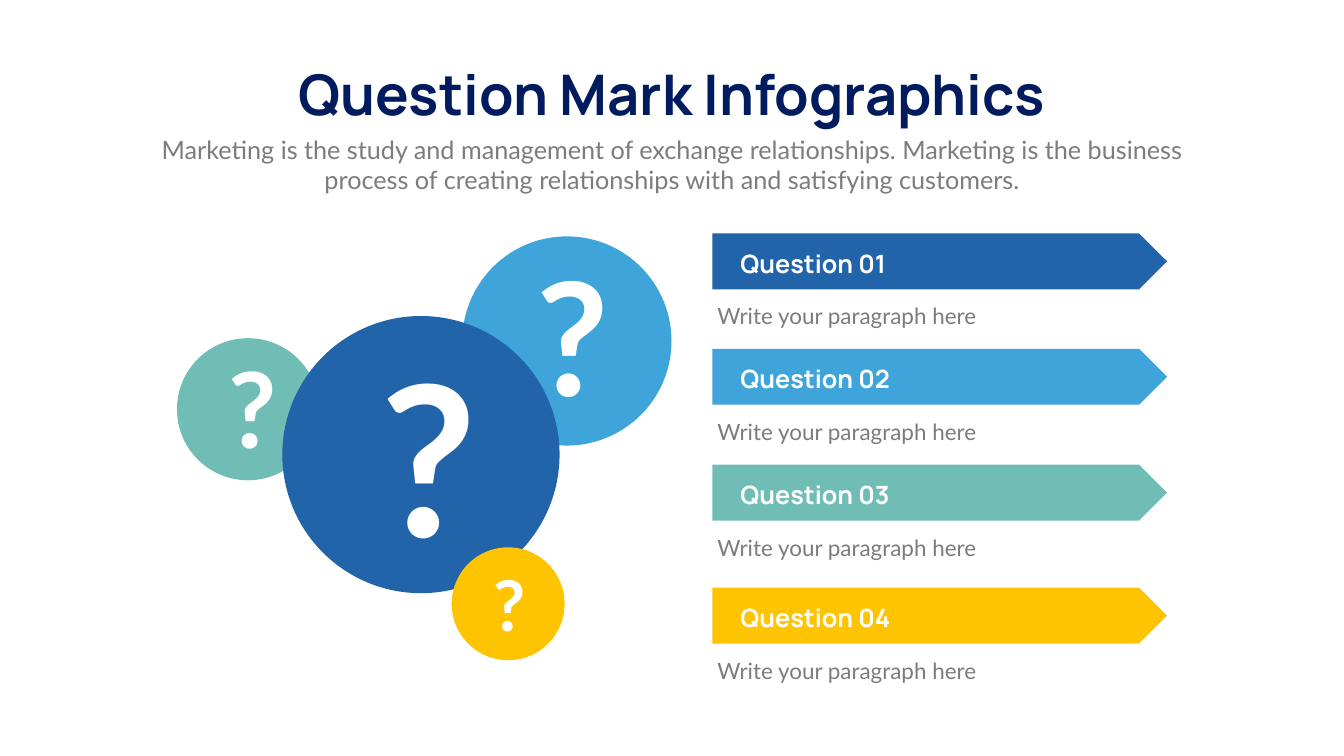
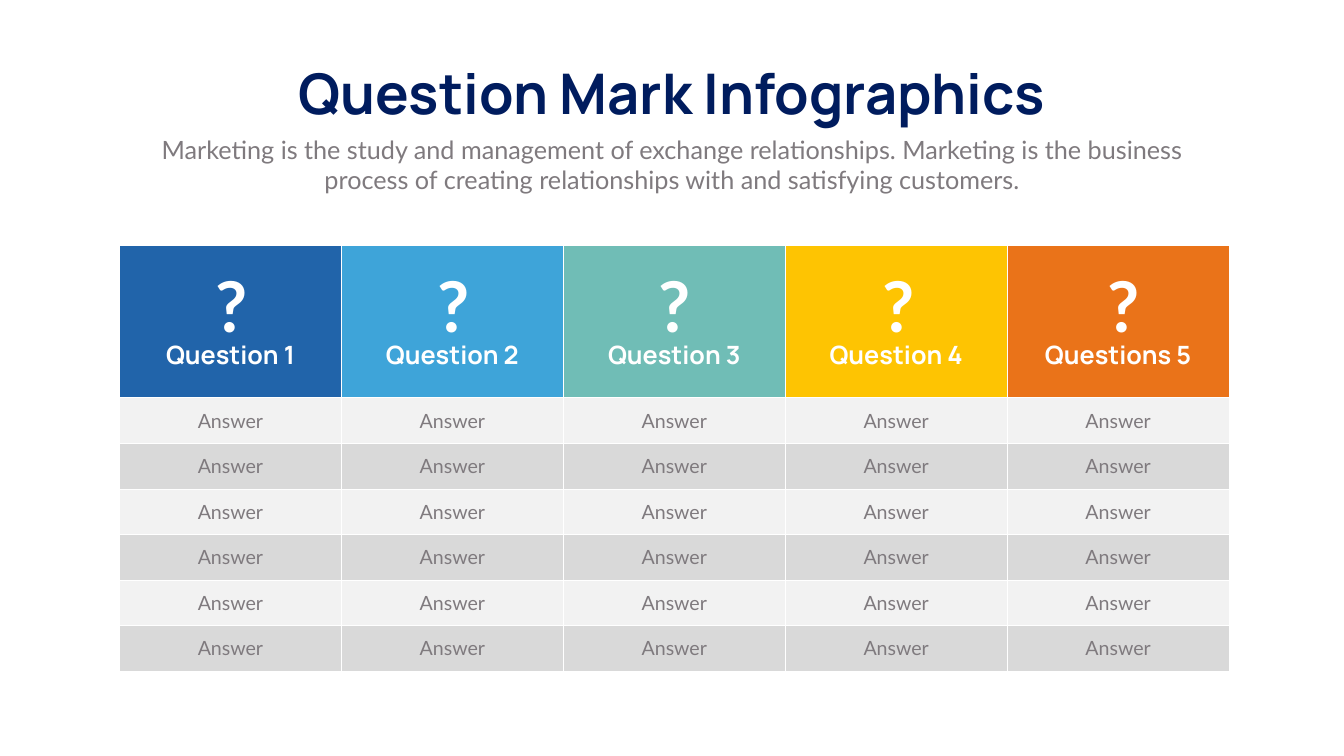
from lxml import etree
from pptx import Presentation
from pptx.dml.color import RGBColor
from pptx.enum.shapes import MSO_SHAPE
from pptx.enum.text import MSO_ANCHOR, MSO_AUTO_SIZE, PP_ALIGN
from pptx.oxml.ns import qn
from pptx.util import Pt

OVAL, ARROW = MSO_SHAPE.OVAL, MSO_SHAPE.PENTAGON
TOP, MIDDLE, BOTTOM = MSO_ANCHOR.TOP, MSO_ANCHOR.MIDDLE, MSO_ANCHOR.BOTTOM
LEFT, CENTER = PP_ALIGN.LEFT, PP_ALIGN.CENTER
FIXED = MSO_AUTO_SIZE.NONE

NAVY = RGBColor(0x00, 0x1C, 0x5E)
GREY = RGBColor(0x7F, 0x7A, 0x7E)
WHITE = RGBColor(0xFF, 0xFF, 0xFF)
BLUE = RGBColor(0x21, 0x64, 0xAA)
SKY = RGBColor(0x3E, 0xA4, 0xD9)
TEAL = RGBColor(0x70, 0xBD, 0xB6)
GOLD = RGBColor(0xFE, 0xC4, 0x02)
RUST = RGBColor(0xEA, 0x73, 0x19)
PALE = RGBColor(0xF2, 0xF2, 0xF2)
ASH = RGBColor(0xD9, 0xD9, 0xD9)
HEAD, BODY = "Manrope", "Lato"

TITLE = "Question Mark Infographics"
INTRO = (
    "Marketing is the study and management of exchange relationships. "
    "Marketing is the business process of creating relationships with "
    "and satisfying customers."
)


def write(frame, text, size=36, font=BODY, color=GREY, bold=False, align=LEFT):
    frame.text = text
    line = frame.paragraphs[0]
    line.alignment = align
    line.space_before = Pt(0)
    face = line.font
    face.size, face.name, face.bold = Pt(size), font, bold
    face.color.rgb = color


def label(slide, text, x, y, w, h, wrap=True, **style):
    frame = slide.shapes.add_textbox(Pt(x), Pt(y), Pt(w), Pt(h)).text_frame
    frame.word_wrap = wrap
    write(frame, text, **style)


def shape(slide, kind, x, y, w, h, color):
    item = slide.shapes.add_shape(kind, Pt(x), Pt(y), Pt(w), Pt(h))
    item.shadow.inherit = False
    item.fill.solid()
    item.fill.fore_color.rgb = color
    item.line.fill.background()


def mark(slide, x, y, size):
    w, h = 0.45 * size + 10, 1.21 * size + 7.2
    label(slide, "?", x - w / 2, y - h / 2, w, h, wrap=False,
          size=size, color=WHITE, bold=True, align=CENTER)


def hold(item, x, y, w, h, text, wrap, **style):
    item.left, item.top, item.width, item.height = Pt(x), Pt(y), Pt(w), Pt(h)
    frame = item.text_frame
    frame.auto_size, frame.word_wrap = FIXED, wrap
    frame.vertical_anchor = TOP
    write(frame, text, align=CENTER, **style)


def start(deck, top):
    slide = deck.slides.add_slide(deck.slide_layouts[0])
    hold(slide.shapes.title, 375.84, top, 1167.84, 104.4, TITLE, False,
         size=80, font=HEAD, color=NAVY, bold=True)
    hold(slide.placeholders[1], 210.24, 187.92, 1499.04, 94.32, INTRO, True)
    return slide


def bubbles(slide, left, top):
    discs = (
        (TEAL, 0, 145.44, 203.04, 150, 3.3, -2.5),
        (SKY, 407.52, 0, 298.8, 225, 5.8, -9.4),
        (BLUE, 150.48, 113.76, 396, 300, 7.6, 0.4),
        (GOLD, 392.4, 444.24, 161.28, 100, 0, 0),
    )
    for color, x, y, wide, size, dx, dy in discs:
        shape(slide, OVAL, left + x, top + y, wide, wide, color)
        mid = wide / 2
        mark(slide, left + x + mid + dx, top + y + mid + dy, size)


def banner(slide, left, top, number, color):
    shape(slide, ARROW, left, top, 649.44, 79.92, color)
    label(slide, f"Question {number:02}", left + 33.12, top + 17.28,
          267.12, 51.12, font=HEAD, color=WHITE, bold=True)
    label(slide, "Write your paragraph here", left, top + 95.04,
          446.4, 46.08, size=32)


def border(cell, widths):
    props = cell._tc.get_or_add_tcPr()
    for side, width in zip("LRTB", widths):
        line = etree.SubElement(props, qn(f"a:ln{side}"), w=str(Pt(width)))
        fill = etree.SubElement(line, qn("a:solidFill"))
        etree.SubElement(fill, qn("a:srgbClr"), val=str(WHITE))


def paint(cell, color, alpha=None):
    cell.fill.solid()
    cell.fill.fore_color.rgb = color
    if alpha:
        tone = cell._tc.tcPr.find(".//" + qn("a:srgbClr"))
        etree.SubElement(tone, qn("a:alpha"), val=str(alpha * 1000))


def grid(slide, left, top, wide, high):
    heads = (
        ("Question 1", BLUE, -1.5),
        ("Question 2", SKY, -1),
        ("Question 3", TEAL, -2),
        ("Question 4", GOLD, 1),
        ("Questions 5", RUST, 6),
    )
    count, rows, first = len(heads), 6, 218.16
    table = slide.shapes.add_table(
        rows + 1, count, Pt(left), Pt(top), Pt(wide), Pt(high)).table
    table.first_row = table.horz_banding = False
    table.rows[0].height = Pt(first)
    for r in range(1, rows + 1):
        table.rows[r].height = Pt((high - first) / rows)
    step = wide / count
    for c, (text, color, shift) in enumerate(heads):
        table.columns[c].width = Pt(step)
        for r in range(rows + 1):
            cell = table.cell(r, c)
            border(cell, (0.5 if c else 1, 0.5, 0.5 if r else 1, 0.5))
            if r:
                cell.vertical_anchor = MIDDLE
                write(cell.text_frame, "Answer", size=28, align=CENTER)
                paint(cell, *((PALE,) if r % 2 else (ASH, 60)))
            else:
                cell.vertical_anchor = BOTTOM
                cell.margin_top, cell.margin_bottom = Pt(0), Pt(36)
                write(cell.text_frame, text, font=HEAD, color=WHITE,
                      bold=True, align=CENTER)
                paint(cell, color)
        mark(slide, left + (c + 0.5) * step + shift, top + 85, 100)


def main():
    deck = Presentation()
    deck.slide_width, deck.slide_height = Pt(1919.52), Pt(1080)

    slide = start(deck, 82.08)
    bubbles(slide, 252.72, 337.68)
    tops = (333.36, 498.24, 663.84, 839.52)
    for number, (y, color) in enumerate(zip(tops, (BLUE, SKY, TEAL, GOLD)), 1):
        banner(slide, 1017.36, y, number, color)

    grid(start(deck, 80.64), 170.64, 349.92, 1584.72, 609.12)
    deck.save("out.pptx")


if __name__ == "__main__":
    main()
